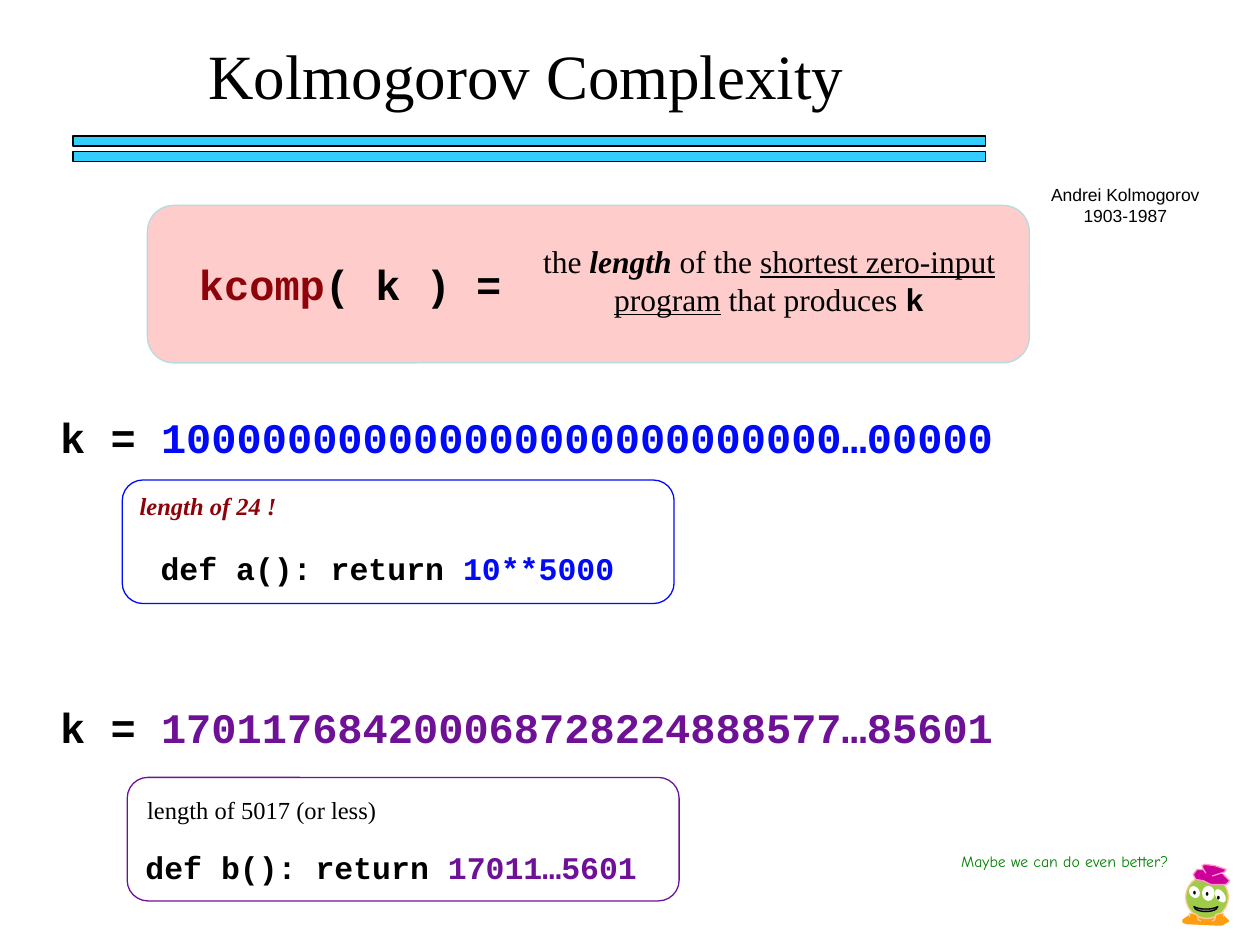
from pptx import Presentation
from pptx.dml.color import RGBColor
from pptx.enum.shapes import MSO_SHAPE
from pptx.enum.text import MSO_ANCHOR, MSO_AUTO_SIZE, PP_ALIGN
from pptx.util import Inches, Pt

RECT, ROUND = MSO_SHAPE.RECTANGLE, MSO_SHAPE.ROUNDED_RECTANGLE
OVAL, MOON = MSO_SHAPE.OVAL, MSO_SHAPE.MOON
LEFT, CENTER = PP_ALIGN.LEFT, PP_ALIGN.CENTER
SERIF, MONO, SANS, COMIC = "Times New Roman", "Courier New", "Arial", "Comic Neue"
COLORS = {
    "black": "000000", "white": "FFFFFF", "gray": "808080",
    "pink": "FFCCCC", "pale": "B6DCDF", "sky": "33CCFF",
    "red": "8E030A", "blue": "000AF9", "purple": "6E1196", "green": "008000",
    "lime": "9ECC46", "peach": "FFCC99", "orange": "FD9D0F",
    "magenta": "CC0099", "rose": "FF99CC",
}


def paint(shape, fill=None, line=None):
    shape.shadow.inherit = False
    if fill:
        shape.fill.solid()
        shape.fill.fore_color.rgb = RGBColor.from_string(COLORS[fill])
    else:
        shape.fill.background()
    if line:
        shape.line.color.rgb = RGBColor.from_string(COLORS[line])
        shape.line.width = Pt(0.75)
    else:
        shape.line.fill.background()


def write(box, paragraphs, size, align=LEFT, wrap=True):
    frame = box.text_frame
    frame.word_wrap = wrap
    frame.auto_size = MSO_AUTO_SIZE.NONE
    frame.vertical_anchor = MSO_ANCHOR.TOP
    for index, spans in enumerate(paragraphs):
        para = frame.paragraphs[0] if index == 0 else frame.add_paragraph()
        para.alignment = align
        for text, font, color, style in spans:
            span = para.add_run()
            span.text = text
            span.font.name = font
            span.font.size = Pt(size)
            span.font.color.rgb = RGBColor.from_string(COLORS[color])
            span.font.bold = "b" in style
            span.font.italic = "i" in style
            span.font.underline = "u" in style


deck = Presentation()
deck.slide_width, deck.slide_height = Inches(10), Inches(7.5)
page = deck.slides.add_slide(deck.slide_layouts[5])
shapes = page.shapes

# Title and double rule
title = shapes.title
title.left, title.top = Inches(1.02), Inches(0.24)
title.width, title.height = Inches(6.31), Inches(0.7)
write(title, [[("Kolmogorov Complexity", SERIF, "black", "")]], 36, CENTER)
for top in (1.08, 1.2):
    rule = shapes.add_shape(RECT, Inches(0.58), Inches(top), Inches(7.24), Inches(0.08))
    paint(rule, "sky", "black")

# Definition panel and program panels
for left, top, width, height, fill, line in (
    (1.17, 1.63, 7, 1.25, "pink", "pale"),
    (0.97, 3.81, 4.38, 0.98, None, "blue"),
    (1.01, 6.17, 4.38, 0.98, None, "purple"),
):
    panel = shapes.add_shape(ROUND, Inches(left), Inches(top), Inches(width), Inches(height))
    paint(panel, fill, line)

# Texts: left, top, width, height, size, alignment, wrap, paragraphs
texts = [
    (1.48, 2, 3.69, 0.5, 24, LEFT, True,
     [[("kcomp", MONO, "red", "b"), ("( k ) =", MONO, "black", "b")]]),
    (3.9, 1.87, 4.41, 0.7, 18, CENTER, True,
     [[("the ", SERIF, "black", ""), ("length ", SERIF, "black", "bi"),
       ("of the ", SERIF, "black", ""),
       ("shortest zero-input program", SERIF, "black", "u"),
       (" that produces ", SERIF, "black", ""), ("k", MONO, "black", "b")]]),
    (8.24, 1.41, 1.38, 0.43, 10, CENTER, False,
     [[("Andrei Kolmogorov", SANS, "black", "")], [("1903-1987", SANS, "black", "")]]),
    (1.01, 3.85, 1.29, 0.33, 14, LEFT, False,
     [[("length of 24 !", SERIF, "red", "bi")]]),
    (1.07, 6.26, 2.03, 0.34, 14, LEFT, False,
     [[("length of 5017 (or less)", SERIF, "black", "")]]),
    (7.53, 6.71, 2.21, 0.25, 9, LEFT, True,
     [[("Maybe we can do even better?", COMIC, "green", "")]]),
]
for top, digits, color in (
    (3.22, "100000000000000000000000000…00000", "blue"),
    (5.52, "170117684200068728224888577…85601", "purple"),
):
    texts.append((0.38, top, 7.6, 0.5, 24, LEFT, False,
                  [[("k = ", MONO, "black", "b"), (digits, MONO, color, "b")]]))
for left, top, code, value, color in (
    (0.83, 4.31, "def a(): return", " 10**5000 ", "blue"),
    (0.86, 6.68, "def b(): return", " 17011…5601 ", "purple"),
):
    texts.append((left, top, 4.64, 0.4, 18, CENTER, True,
                  [[(code, MONO, "black", "b"), (value, MONO, color, "b")]]))
for left, top, width, height, size, align, wrap, paragraphs in texts:
    box = shapes.add_textbox(Inches(left), Inches(top), Inches(width), Inches(height))
    write(box, paragraphs, size, align, wrap)

# Little alien: outlines in hundredths of an inch, then head, eyes and mouth
feet = [(957, 723), (970, 726), (973, 729), (975, 731), (970, 734), (964, 734),
        (942, 733), (939, 732), (939, 730), (942, 728), (948, 724), (952, 722)]
toes = [[(944, 728), (944, 725), (947, 725), (950, 726), (951, 730), (953, 731)],
        [(971, 728), (971, 725), (968, 725), (965, 726), (964, 730), (962, 731)]]
brim = [(957, 690), (950, 690), (947, 694), (949, 698), (955, 699), (961, 702),
        (969, 702), (973, 702), (976, 699), (974, 697), (971, 694)]
crown = [(957, 693), (955, 690), (954, 687), (956, 686), (964, 687), (970, 689),
         (973, 690), (972, 692), (966, 694), (963, 695), (962, 695)]
face = [
    (OVAL, 9.41, 6.95, 0.34, 0.34, 0, "lime", "peach"),
    (OVAL, 9.44, 7.03, 0.08, 0.1, 327.2, "white", None),
    (OVAL, 9.54, 7.03, 0.1, 0.12, 0, "white", None),
    (OVAL, 9.65, 7.05, 0.07, 0.12, 325.5, "white", None),
    (OVAL, 9.47, 7.07, 0.02, 0.03, 0, "black", None),
    (OVAL, 9.57, 7.08, 0.02, 0.03, 0, "black", None),
    (OVAL, 9.66, 7.11, 0.02, 0.03, 0, "black", None),
    (MOON, 9.55, 7.12, 0.04, 0.19, 270, "gray", "black"),
]
outlines = [(feet, True, "orange", "orange"),
            (brim, False, "magenta", "rose"), (crown, False, "magenta", "rose")]
outlines += [(toe, False, "orange", "peach") for toe in toes]
for index, (points, closed, fill, line) in enumerate(outlines):
    builder = shapes.build_freeform(*points[0], scale=Inches(0.01))
    builder.add_line_segments(points[1:], close=closed)
    paint(builder.convert_to_shape(), fill, line)
    if index == 0:  # the head stands on the feet and under the hat
        for kind, left, top, width, height, angle, color, edge in face:
            part = shapes.add_shape(kind, Inches(left), Inches(top), Inches(width), Inches(height))
            part.rotation = angle
            paint(part, color, edge)

deck.save("out.pptx")
